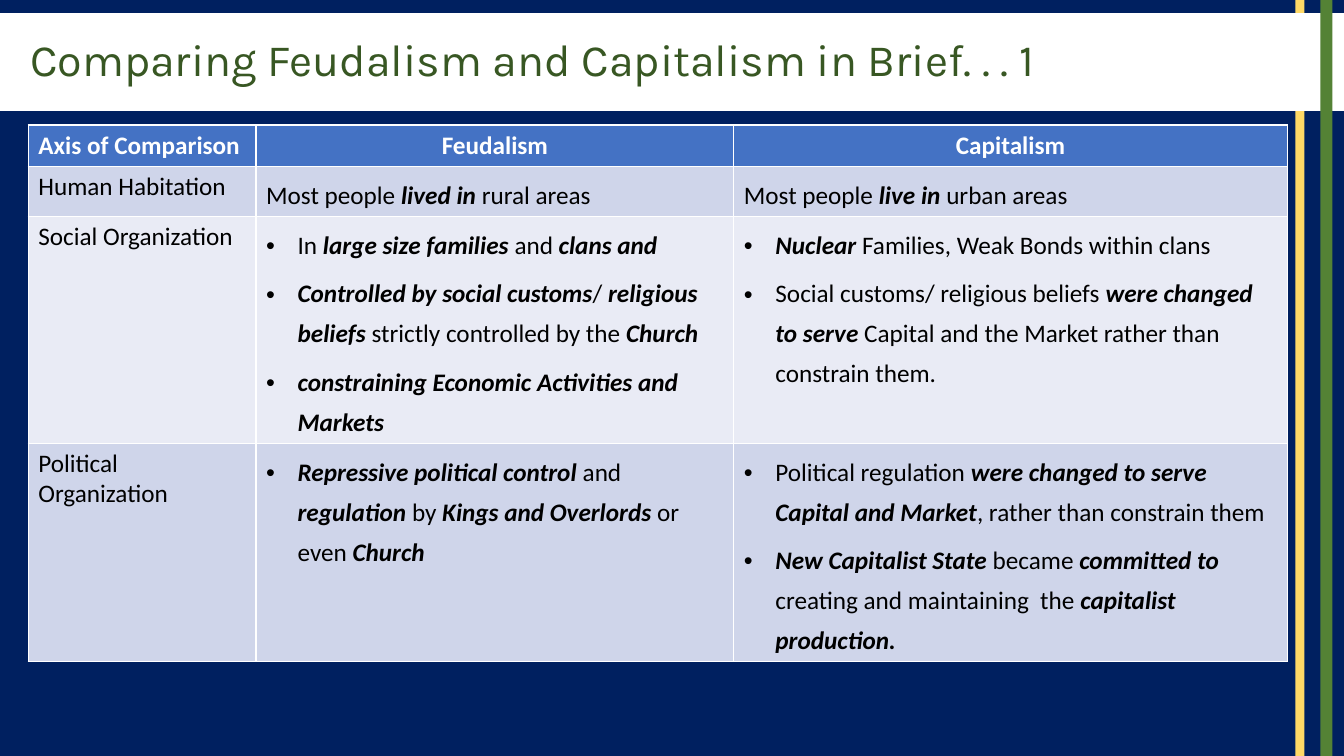
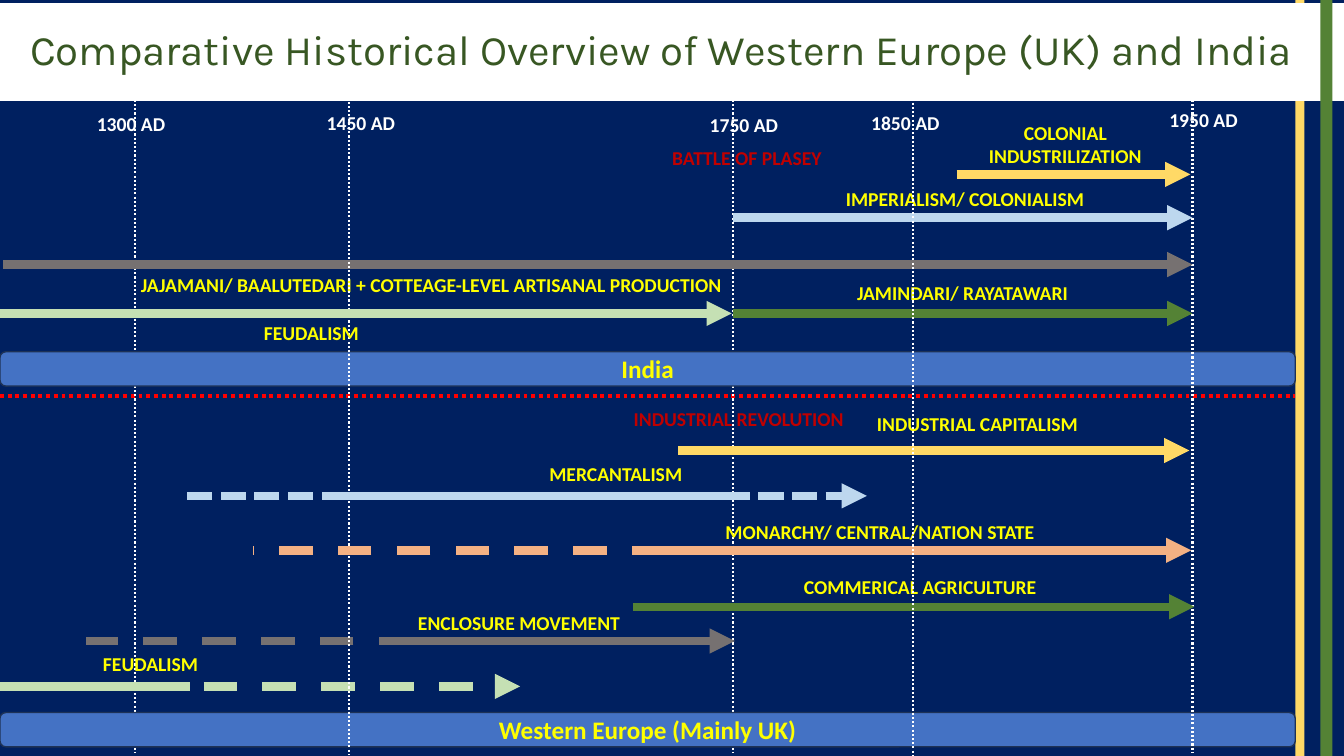
from dataclasses import dataclass

from pptx import Presentation
from pptx.dml.color import RGBColor
from pptx.enum.dml import MSO_LINE
from pptx.enum.shapes import MSO_CONNECTOR, MSO_SHAPE
from pptx.enum.text import MSO_ANCHOR, MSO_AUTO_SIZE, PP_ALIGN
from pptx.oxml.ns import qn
from pptx.util import Pt

SOLID, DASH = MSO_LINE.SOLID, MSO_LINE.DASH
DOT, SHORT_DASH = MSO_LINE.ROUND_DOT, MSO_LINE.SQUARE_DOT
LEFT, CENTER = PP_ALIGN.LEFT, PP_ALIGN.CENTER
MIDDLE = MSO_ANCHOR.MIDDLE
RECTANGLE, ROUNDED = MSO_SHAPE.RECTANGLE, MSO_SHAPE.ROUNDED_RECTANGLE


@dataclass(frozen=True)
class Theme:
    navy: RGBColor = RGBColor.from_string("002060")
    white: RGBColor = RGBColor.from_string("FFFFFF")
    black: RGBColor = RGBColor.from_string("000000")
    title_green: RGBColor = RGBColor.from_string("385723")
    green: RGBColor = RGBColor.from_string("548235")
    pale_green: RGBColor = RGBColor.from_string("C5E0B4")
    gold: RGBColor = RGBColor.from_string("FFD966")
    yellow: RGBColor = RGBColor.from_string("FFFF00")
    blue: RGBColor = RGBColor.from_string("4472C4")
    blue_edge: RGBColor = RGBColor.from_string("1E3256")
    pale_blue: RGBColor = RGBColor.from_string("BDD7EE")
    row_dark: RGBColor = RGBColor.from_string("CFD5EA")
    row_light: RGBColor = RGBColor.from_string("E9EBF5")
    gray: RGBColor = RGBColor.from_string("767171")
    orange: RGBColor = RGBColor.from_string("F4B183")
    red: RGBColor = RGBColor.from_string("FF0000")
    dark_red: RGBColor = RGBColor.from_string("C00000")
    title_font: str = "Karla"
    body_font: str = "Calibri"
    body_size: int = 18
    label_size: int = 14


THEME = Theme()


def write(paragraph, text, size, color, bold=False, align=LEFT, font=THEME.body_font):
    """Fill a paragraph; parts between asterisks become bold italic."""
    paragraph.alignment = align
    for position, part in enumerate(text.split("*")):
        if part:
            run = paragraph.add_run()
            run.text = part
            run.font.name, run.font.size = font, Pt(size)
            run.font.color.rgb = color
            emphasis = position % 2 == 1
            run.font.bold, run.font.italic = bold or emphasis, emphasis


def add_line(slide, start, end, color, width, dash=SOLID, arrow=False):
    line = slide.shapes.add_connector(
        MSO_CONNECTOR.STRAIGHT, *(Pt(value) for value in (*start, *end)))
    line.line.color.rgb = color
    line.line.width = Pt(width)
    line.line.dash_style = dash
    properties = line._element.spPr
    if arrow:
        outline = properties.find(qn("a:ln"))
        outline.append(outline.makeelement(qn("a:tailEnd"), {"type": "triangle"}))
    properties.append(properties.makeelement(qn("a:effectLst"), {}))


prs = Presentation()
prs.slide_width, prs.slide_height = Pt(960), Pt(540)
background = prs.slide_master.background.fill
background.solid()
background.fore_color.rgb = THEME.navy

# Shared frame: gold stripe behind the title bar, green stripe in front of it
headings = [
    ("Comparing Feudalism and Capitalism in Brief. . . 1", 32, 9.4),
    ("Comparative Historical Overview of Western Europe (UK) and India", 30, 2.2),
]
slides = []
for heading, size, top in headings:
    slide = prs.slides.add_slide(prs.slide_layouts[5])
    title = slide.shapes.title
    title.left, title.top, title.width, title.height = Pt(0), Pt(top), Pt(960), Pt(69.8)
    title.fill.solid()
    title.fill.fore_color.rgb = THEME.white
    frame = title.text_frame
    frame.auto_size = MSO_AUTO_SIZE.NONE
    frame.vertical_anchor = MIDDLE
    frame.margin_left = Pt(21.6)
    frame.paragraphs[0].line_spacing = 0.9
    write(frame.paragraphs[0], heading, size, THEME.title_green, font=THEME.title_font)
    for left, width, color in [(925.2, 6.5, THEME.gold), (943.2, 8.6, THEME.green)]:
        stripe = slide.shapes.add_shape(RECTANGLE, Pt(left), Pt(0), Pt(width), Pt(540))
        stripe.shadow.inherit = False
        stripe.fill.solid()
        stripe.fill.fore_color.rgb = color
        stripe.line.fill.background()
        if color == THEME.gold:
            title._element.addprevious(stripe._element)
    slides.append(slide)
comparison, overview = slides

# Comparison table: a list in a cell becomes bullets
comparison_rows = [
    ("Axis of Comparison", "Feudalism", "Capitalism"),
    ("Human Habitation",
     "Most people *lived in *rural areas",
     "Most people *live in *urban areas"),
    ("Social Organization",
     ["In* large size families *and* clans and*",
      "*Controlled by social customs*/ *religious beliefs *strictly controlled by the *Church*",
      "*constraining Economic Activities and Markets*"],
     ["*Nuclear* Families, Weak Bonds within clans",
      "Social customs/ religious beliefs *were changed to serve *Capital and the Market "
      "rather than constrain them."]),
    ("Political Organization",
     ["*Repressive political control *and *regulation *by *Kings and Overlords *or even* Church*"],
     ["Political regulation *were changed to serve Capital and Market*, "
      "rather than constrain them",
      "*New Capitalist State *became* committed to *creating and maintaining  the "
      "*capitalist production.*"]),
]
column_widths = [162.7, 341.3, 395.3]
row_heights = [29.5, 35.5, 162, 156]
table = comparison.shapes.add_table(
    len(row_heights), len(column_widths), Pt(20.2), Pt(89.3),
    Pt(sum(column_widths)), Pt(sum(row_heights))).table
for column, width in zip(table.columns, column_widths):
    column.width = Pt(width)
for row, height in zip(table.rows, row_heights):
    row.height = Pt(height)

for row_index, row_content in enumerate(comparison_rows):
    header = row_index == 0
    row_fill = THEME.blue if header else (THEME.row_light, THEME.row_dark)[row_index % 2]
    for column_index, content in enumerate(row_content):
        cell = table.cell(row_index, column_index)
        cell.fill.solid()
        cell.fill.fore_color.rgb = row_fill
        bulleted = isinstance(content, list)
        for index, text in enumerate(content if bulleted else [content]):
            paragraph = cell.text_frame.paragraphs[0] if index == 0 else cell.text_frame.add_paragraph()
            write(paragraph, text, THEME.body_size,
                  THEME.white if header else THEME.black, header,
                  CENTER if header and column_index else LEFT)
            if column_index and not header:
                paragraph.line_spacing = 1.3
                paragraph.space_after = Pt(6)
            if bulleted:
                properties = paragraph._p.get_or_add_pPr()
                properties.set("marL", str(Pt(22.5)))
                properties.set("indent", str(-Pt(22.5)))
                for tag, attributes in [("a:buFont", {"typeface": "Arial"}),
                                        ("a:buChar", {"char": "•"})]:
                    properties.append(properties.makeelement(qn(tag), attributes))

# Timeline layers, back to front. Each holds:
# dates (label, line x, line top, label left, label top), regions (name, top) and
# processes (label, left, top, width, arrow y, colour, strokes of from, to, dash, arrow)
layers = [
    ([("1300 AD", 96.5, 71.3, 61.9, 76.3), ("1750 AD", 523.4, 71.3, 499.7, 77)],
     [("India", 251.3), ("Western Europe (Mainly UK)", 509)],
     []),
    ([("1950 AD", 851.8, 71.3, 828, 73.4)],
     [],
     [("IMPERIALISM/ COLONIALISM", 596.9, 130.3, 185, 155.5, THEME.pale_blue,
       [(523.4, 851.8, SOLID, True)]),
      ("COLONIAL INDUSTRILIZATION", 698, 82.8, 126, 124.6, THEME.gold,
       [(683.3, 850.3, SOLID, True)]),
      ("JAJAMANI/ BAALUTEDARI + COTTEAGE-LEVEL ARTISANAL PRODUCTION",
       89.3, 191.5, 437.8, 189, THEME.gray, [(2.2, 851.8, SOLID, True)]),
      ("ENCLOSURE MOVEMENT", 284.4, 432.7, 172.8, 457.9, THEME.gray,
       [(293, 524.9, SOLID, True), (294.5, 61.2, DASH, False)]),
      ("COMMERICAL AGRICULTURE", 547.2, 406.8, 220.3, 433.4, THEME.green,
       [(452.2, 853.2, SOLID, True)]),
      ("FEUDALISM", 59, 462.2, 97.2, 490.3, THEME.pale_green,
       [(135.4, 0, SOLID, False), (145.4, 371.5, DASH, True)]),
      ("INDUSTRIAL CAPITALISM", 563, 290.9, 270.7, 321.8, THEME.gold,
       [(484.6, 849.6, SOLID, True)])]),
    ([("1450 AD", 249.1, 72.7, 226.1, 75.6)],
     [],
     [("MONARCHY/ CENTRAL/NATION STATE", 503.3, 367.9, 250.6, 393.1, THEME.orange,
       [(468.7, 851, SOLID, True), (517.7, 180.7, DASH, False)]),
      ("JAMINDARI/ RAYATAWARI", 601.2, 197.3, 172.8, 223.9, THEME.green,
       [(523.4, 851.8, SOLID, True)]),
      ("FEUDALISM", 154.1, 225.4, 136.8, 223.9, THEME.pale_green,
       [(293, 522.7, SOLID, True), (305.3, 0, SOLID, False)])]),
    ([("1850 AD", 652.3, 73.4, 615, 76)],
     [],
     [("MERCANTALISM", 374.4, 326.2, 131, 354.2, THEME.pale_blue,
       [(517.7, 619.2, SHORT_DASH, True), (528.5, 246.2, SOLID, False),
        (247.7, 133.9, SHORT_DASH, False)])]),
]
events = [("INDUSTRIAL REVOLUTION", 435.6, 287.3, 184.3),
          ("BATTLE OF PLASEY", 441.4, 100.8, 184.3)]

add_line(overview, (0, 283), (925.2, 283), THEME.red, 2.75, DOT)
for dates, regions, processes in layers:
    labels = []
    for date, x, line_top, left, top in dates:
        add_line(overview, (x, line_top), (x, line_top + 466.6), THEME.white, 1.5, DOT)
        labels.append((date, left, top, 63.4, THEME.white))
    for region, top in regions:
        band = overview.shapes.add_shape(ROUNDED, Pt(0), Pt(top), Pt(925.2), Pt(24.5))
        band.shadow.inherit = False
        band.fill.solid()
        band.fill.fore_color.rgb = THEME.blue
        band.line.color.rgb = THEME.blue_edge
        band.line.width = Pt(1)
        band.text_frame.vertical_anchor = MIDDLE
        write(band.text_frame.paragraphs[0], region, THEME.body_size, THEME.yellow, True, CENTER)
    for process, left, top, width, y, color, strokes in processes:
        for start, end, dash, arrow in strokes:
            add_line(overview, (start, y), (end, y), color, 6, dash, arrow)
        labels.append((process, left, top, width, THEME.yellow))
    if layers[-1][0] is dates:
        labels += [(*event, THEME.dark_red) for event in events]
    for label, left, top, width, color in labels:
        caption = overview.shapes.add_textbox(Pt(left), Pt(top), Pt(width), Pt(24.5))
        caption.text_frame.word_wrap = True
        caption.text_frame.auto_size = MSO_AUTO_SIZE.SHAPE_TO_FIT_TEXT
        write(caption.text_frame.paragraphs[0], label, THEME.label_size, color, True, CENTER)

prs.save("out.pptx")
